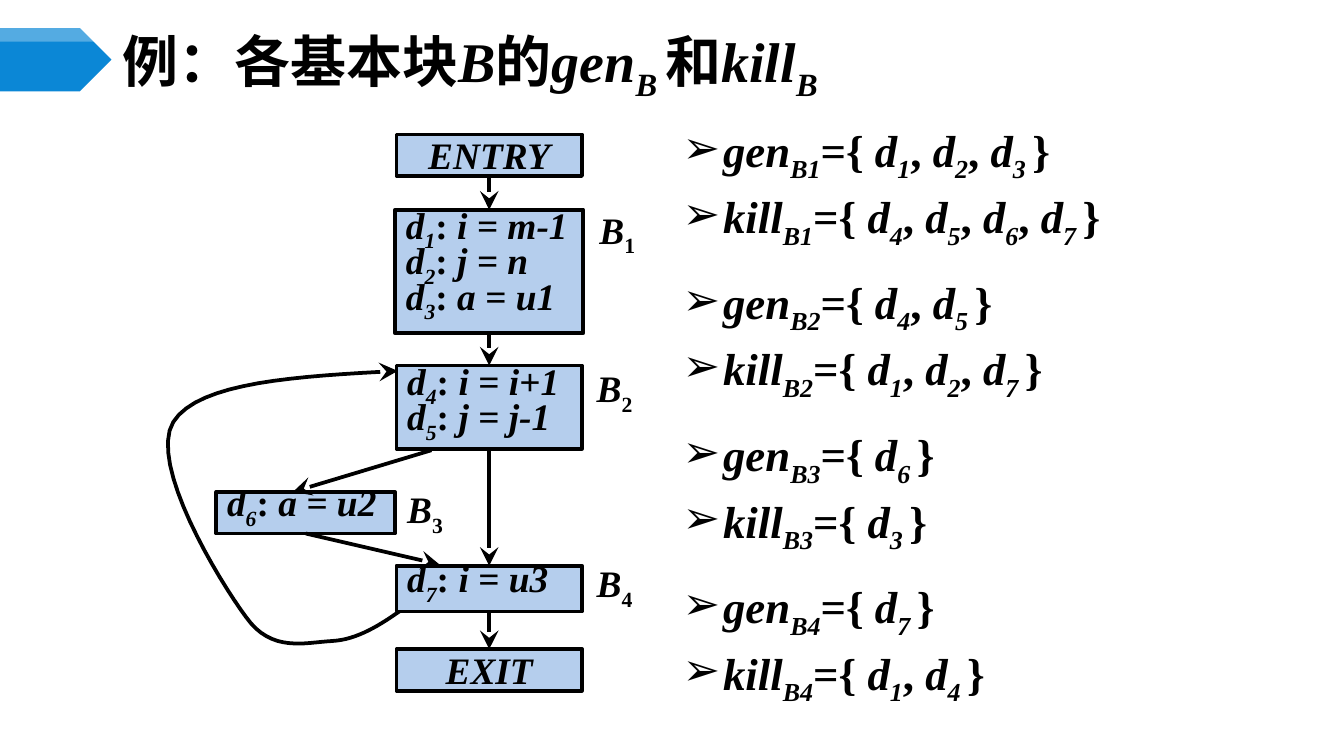
"""Build a slide showing the gen and kill sets of each basic block in a flow graph."""
from dataclasses import dataclass

from lxml import etree
from pptx import Presentation
from pptx import util as u
from pptx.dml.color import RGBColor
from pptx.enum import shapes, text
from pptx.oxml.ns import qn
from pptx.util import Inches


@dataclass(frozen=True)
class Theme:
    ink: RGBColor = RGBColor(0, 0, 0)
    box: RGBColor = RGBColor(0xB5, 0xCE, 0xED)
    accent: RGBColor = RGBColor(0x0B, 0x87, 0xD6)
    white: RGBColor = RGBColor(0xFF, 0xFF, 0xFF)
    latin: str = "Times New Roman"
    cjk: str = "Noto Sans CJK SC"
    title: u.Pt = u.Pt(30)
    body: u.Pt = u.Pt(24)
    label: u.Pt = u.Pt(20)
    line: u.Pt = u.Pt(2)


theme = Theme()
PLAIN, ITALIC, SUB, PLAIN_SUB, CJK = "plain", "italic", "sub", "plain sub", "cjk"
TOP, MIDDLE, BOTTOM = text.MSO_ANCHOR.TOP, text.MSO_ANCHOR.MIDDLE, text.MSO_ANCHOR.BOTTOM


def add_runs(p, size, runs):
    p.font.size, p.font.bold, p.font.name = size, True, theme.latin
    p.font.color.rgb = theme.ink
    for content, style in runs:
        r = p.add_run()
        r.text = content
        r.font.italic = style in (ITALIC, SUB)
        if style in (SUB, PLAIN_SUB):
            r.font._element.set("baseline", "-25000")
        if style == CJK:
            r.font.name = theme.cjk
            etree.SubElement(r.font._element, qn("a:ea"), typeface=theme.cjk)


def draw_arrow(s):
    s.line.color.rgb, s.line.width = theme.ink, theme.line
    props = s._element.spPr
    etree.SubElement(props.find(qn("a:ln")), qn("a:tailEnd"), type="stealth", w="lg", len="lg")
    if props.find(qn("a:effectLst")) is None:
        etree.SubElement(props, qn("a:effectLst"))


prs = Presentation()
prs.slide_width, prs.slide_height = Inches(10), Inches(10 * 9 / 16)
prs.element.sldSz.attrib.pop("type", None)
slide = prs.slides.add_slide(prs.slide_layouts[1])
title, body = slide.placeholders

for height, color in ((0.47, theme.accent), (0.1, theme.white)):
    s = slide.shapes.add_shape(shapes.MSO_SHAPE.PENTAGON, 0, Inches(0.21), Inches(0.83), Inches(height))
    s.adjustments[0] = 0.5
    s.shadow.inherit = False
    s.fill.solid()
    s.fill.fore_color.rgb = color
    s.line.fill.background()
etree.SubElement(s._element.spPr.find(qn("a:solidFill"))[0], qn("a:alpha"), val="30000")

for s, frame, anchor in (
    (title, (0.83, 0.29, 8.67, 0.39), MIDDLE),
    (body, (5, 0.88, 4.06, 4.74), TOP),
):
    s.left, s.top, s.width, s.height = map(Inches, frame)
    tf = s.text_frame
    tf.auto_size, tf.word_wrap, tf.vertical_anchor = text.MSO_AUTO_SIZE.NONE, True, anchor
    tf.margin_left = tf.margin_right = Inches(0.08)
    tf.margin_top = tf.margin_bottom = Inches(0.04)

p = title.text_frame.paragraphs[0]
p.alignment = text.PP_ALIGN.LEFT
add_runs(p, theme.title, [
    ("例：各基本块", CJK), ("B", ITALIC), ("的", CJK), ("gen", ITALIC), ("B ", SUB),
    ("和", CJK), ("kill", ITALIC), ("B", SUB),
])

sets = [("123", "4567"), ("45", "127"), ("6", "3"), ("7", "14")]
tf = body.text_frame
for block, pair in enumerate(sets, 1):
    for name, members in zip(("gen", "kill"), pair):
        first = block == 1 and name == "gen"
        p = tf.paragraphs[0] if first else tf.add_paragraph()
        p.line_spacing = 0.9
        p.space_before = u.Pt(16.5 if name == "gen" and not first else 6)
        props = p._p.get_or_add_pPr()
        props.set("marL", str(Inches(0.3)))
        props.set("indent", str(-Inches(0.3)))
        bullet_color = etree.SubElement(props, qn("a:buClr"))
        etree.SubElement(bullet_color, qn("a:srgbClr"), val=str(theme.ink))
        etree.SubElement(props, qn("a:buChar"), char="➢")
        runs = [(name, ITALIC), (f"B{block}", SUB), ("={ ", PLAIN)]
        for n in members[:-1]:
            runs += [("d", ITALIC), (n, SUB), (", ", PLAIN)]
        runs += [("d", ITALIC), (members[-1] + " ", SUB), ("}", PLAIN)]
        add_runs(p, theme.body, runs)

start = (3, 4.53)
curves = [
    ((2.83, 4.65), (2.66, 4.76), (2.47, 4.77)),
    ((2.27, 4.78), (2.02, 4.86), (1.83, 4.59)),
    ((1.63, 4.32), (1.1, 3.45), (1.29, 3.14)),
    ((1.48, 2.84), (2.22, 2.8), (2.96, 2.76)),
]
steps, points, origin = 16, [], start
for a, b, end in curves:
    for t in (i / steps for i in range(1, steps + 1)):
        points.append(tuple(
            Inches((1 - t) ** 3 * k0 + 3 * (1 - t) ** 2 * t * k1 + 3 * (1 - t) * t**2 * k2 + t**3 * k3)
            for k0, k1, k2, k3 in zip(origin, a, b, end)
        ))
    origin = end
builder = slide.shapes.build_freeform(*map(Inches, start))
builder.add_line_segments(points, close=False)
loop = builder.convert_to_shape()
loop.fill.background()
loop.shadow.inherit = False
draw_arrow(loop)

blocks = {
    "ENTRY": ((2.95, 1, 1.38, 0.31), BOTTOM, 0.03, []),
    "B1": ((2.94, 1.56, 1.4, 0.92), TOP, 0.06, [("1", "i = m-1"), ("2", "j = n"), ("3", "a = u1")]),
    "B2": ((2.95, 2.72, 1.38, 0.62), TOP, 0.06, [("4", "i = i+1"), ("5", "j = j-1")]),
    "B3": ((1.61, 3.66, 1.33, 0.31), MIDDLE, 0, [("6", "a = u2")]),
    "B4": ((2.95, 4.21, 1.38, 0.34), MIDDLE, 0, [("7", "i = u3")]),
    "EXIT": ((2.95, 4.83, 1.38, 0.31), BOTTOM, 0.03, []),
}
boxes = {}
for name, (frame, anchor, inset, statements) in blocks.items():
    s = boxes[name] = slide.shapes.add_shape(shapes.MSO_SHAPE.RECTANGLE, *map(Inches, frame))
    s.shadow.inherit = False
    s.fill.solid()
    s.fill.fore_color.rgb = theme.box
    s.line.color.rgb, s.line.width = theme.ink, theme.line
    tf = s.text_frame
    tf.word_wrap, tf.vertical_anchor = True, anchor
    tf.margin_left, tf.margin_right = Inches(0.08), Inches(0)
    tf.margin_top, tf.margin_bottom = Inches(inset), Inches(0)
    p = tf.paragraphs[0]
    if not statements:
        tf.margin_right = Inches(0.08)
        p.alignment, p.line_spacing = text.PP_ALIGN.CENTER, 0.7
        add_runs(p, theme.label, [(name, ITALIC)])
    for i, (n, statement) in enumerate(statements):
        p = tf.add_paragraph() if i else p
        p.alignment, p.line_spacing = text.PP_ALIGN.JUSTIFY, u.Pt(19)
        add_runs(p, theme.label, [("d", ITALIC), (n, SUB), (": ", PLAIN), (statement, ITALIC)])

for n, (x, y) in enumerate(((4.46, 1.54), (4.44, 2.72), (3.03, 3.62), (4.44, 4.17)), 1):
    tf = slide.shapes.add_textbox(Inches(x), Inches(y), Inches(0.5), Inches(0.3)).text_frame
    tf.word_wrap = True
    tf.margin_left = tf.margin_right = tf.margin_top = tf.margin_bottom = 0
    add_runs(tf.paragraphs[0], theme.label, [("B", ITALIC), (str(n), PLAIN_SUB)])

arrows = [
    ((3.64, 1.31), (3.64, 1.56), "ENTRY", "B1"),
    ((3.64, 2.48), (3.64, 2.72), "B1", "B2"),
    ((3.64, 3.34), (3.64, 4.21), "B2", "B4"),
    ((3.64, 4.55), (3.64, 4.83), "B4", "EXIT"),
    ((3.21, 3.35), (2.18, 3.66), None, None),
    ((2.26, 3.97), (3.27, 4.2), "B3", None),
]
for tail, tip, source, target in arrows:
    s = slide.shapes.add_connector(shapes.MSO_CONNECTOR.STRAIGHT, *map(Inches, tail + tip))
    if source:
        s.begin_connect(boxes[source], 2)
    if target:
        s.end_connect(boxes[target], 0)
    draw_arrow(s)

prs.save("out.pptx")
